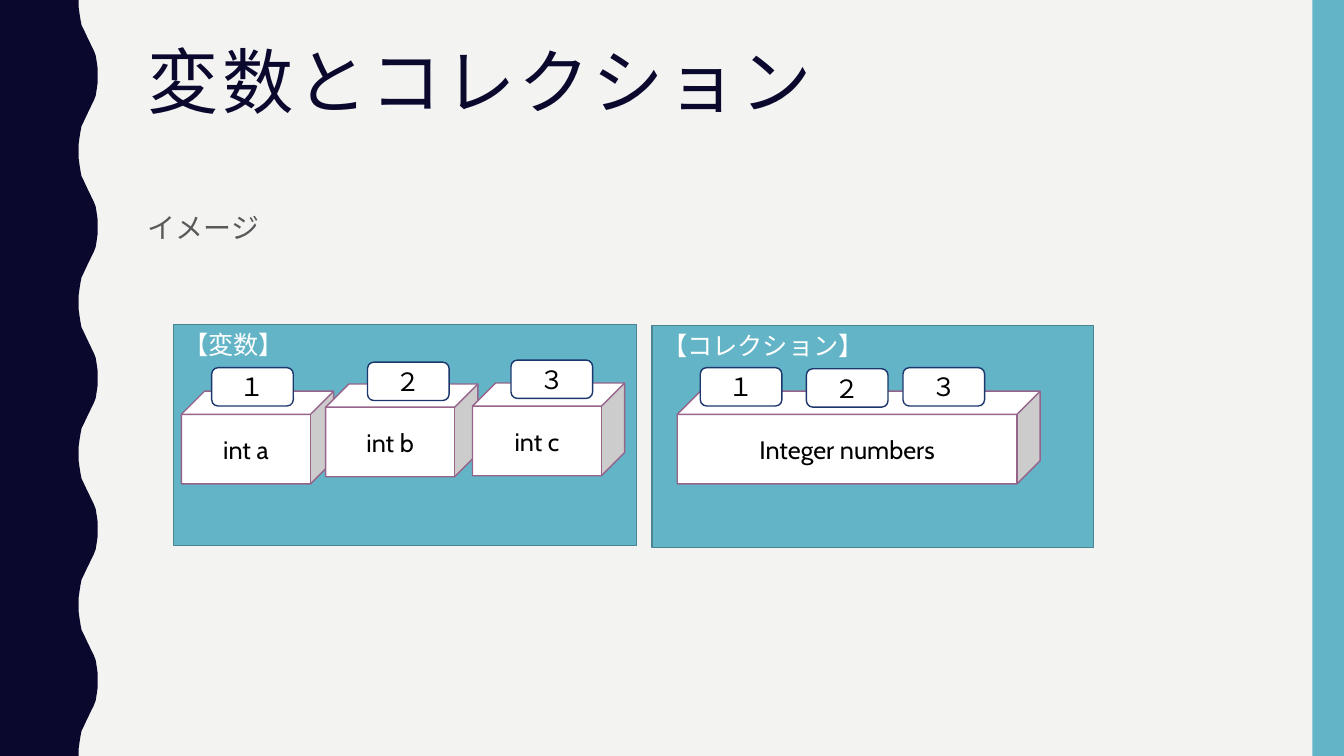
from dataclasses import dataclass

from pptx import Presentation
from pptx.dml.color import RGBColor
from pptx.enum.shapes import MSO_SHAPE as Preset
from pptx.enum.text import MSO_ANCHOR as Anchor, PP_ALIGN as Align
from pptx.util import Pt


@dataclass(frozen=True)
class Theme:
    paper: str = "F3F3F2"
    navy: str = "0B082E"
    teal: str = "62B4C6"
    teal_edge: str = "498592"
    box_edge: str = "96648A"
    tag_edge: str = "1B376E"
    white: str = "FFFFFF"
    black: str = "000000"
    grey: str = "595959"
    title_font: str = "Roboto Condensed"
    body_font: str = "Cabin"
    title_size: float = 51
    body_size: float = 20
    label_size: float = 18


def apply_format(target, values):
    for name, value in values.items():
        setattr(target, name, value)


class SlideBuilder:
    def __init__(self, slide, theme):
        self.slide = slide
        self.theme = theme
        slide.background.fill.solid()
        slide.background.fill.fore_color.rgb = RGBColor.from_string(theme.paper)

    def paint(self, shape, fill, edge=None):
        shape.shadow.inherit = False
        shape.fill.solid()
        shape.fill.fore_color.rgb = RGBColor.from_string(fill)
        if edge:
            shape.line.color.rgb = RGBColor.from_string(edge)
            shape.line.width = Pt(1)
        else:
            shape.line.fill.background()

    def label(self, shape, words, size, color, font=None, anchor=Anchor.TOP,
              spacing=None, **paragraph_format):
        frame = shape.text_frame
        apply_format(frame, {"word_wrap": True, "vertical_anchor": anchor})
        paragraph = frame.paragraphs[0]
        apply_format(paragraph, {"alignment": Align.LEFT, **paragraph_format})
        run = paragraph.add_run()
        run.text = words
        apply_format(run.font, {"name": font or self.theme.body_font, "size": Pt(size)})
        run.font.color.rgb = RGBColor.from_string(color)
        if spacing:
            run._r.get_or_add_rPr().set("spc", str(spacing * 100))

    def text(self, bounds, words, size, color, **text_format):
        box = self.slide.shapes.add_textbox(*map(Pt, bounds))
        self.label(box, words, size, color, **text_format)

    def shape(self, preset, bounds, fill, edge=None):
        shape = self.slide.shapes.add_shape(preset, *map(Pt, bounds))
        self.paint(shape, fill, edge)
        return shape

    def outline(self, points, fill):
        start, *rest = [(Pt(x), Pt(y)) for x, y in points]
        pen = self.slide.shapes.build_freeform(*start)
        pen.add_line_segments(rest, close=True)
        self.paint(pen.convert_to_shape(), fill)

    def panel(self, bounds, heading):
        panel = self.shape(Preset.RECTANGLE, bounds, self.theme.teal, self.theme.teal_edge)
        self.label(panel, heading, self.theme.label_size, self.theme.white)

    def block(self, preset, bounds, words, edge):
        block = self.shape(preset, bounds, self.theme.white, edge)
        self.label(block, words, self.theme.label_size, self.theme.black,
                   anchor=Anchor.MIDDLE, alignment=Align.CENTER)

    def box(self, left, top, width, words):
        self.block(Preset.CUBE, (left, top, width, 66.2), words, self.theme.box_edge)

    def tag(self, left, top, words):
        self.block(Preset.ROUNDED_RECTANGLE, (left, top, 58.3, 27.4), words,
                   self.theme.tag_edge)


def wave_points(height, period=108):
    """Left band whose right edge repeats one mirrored half wave."""
    half = [(56.2, 0), (56.2, 5), (56.9, 10), (57.6, 14.4), (58.3, 18),
            (59.8, 21), (61.2, 24), (62.6, 27), (64.1, 30), (65.5, 33),
            (67, 36), (68.4, 39.6), (69.1, 44), (69.8, 49), (69.8, 54)]
    wave = half + [(x, period - y) for x, y in half[-2:0:-1]]
    edge = [(x, y + period * turn) for turn in range(height // period) for x, y in wave]
    return [(0, 0), *edge, (half[0][0], height), (0, height)]


def main():
    deck = Presentation()
    apply_format(deck, {"slide_width": Pt(960), "slide_height": Pt(540)})
    theme = Theme()
    page = SlideBuilder(deck.slides.add_slide(deck.slide_layouts[6]), theme)

    # Side bands
    page.outline(wave_points(540), theme.navy)
    page.shape(Preset.RECTANGLE, (937.5, 0, 22.5, 540), theme.teal)

    # Title and lead
    page.text((98.6, 30.2, 801.4, 117.4), "変数とコレクション", theme.title_size,
              theme.navy, font=theme.title_font, spacing=2, line_spacing=0.9)
    page.text((98.6, 144.7, 801.4, 318.2), "イメージ", theme.body_size,
              theme.grey, line_spacing=1.1, space_before=Pt(7))

    # Panels
    page.panel((123.8, 231.8, 330.9, 157.7), "【変数】")
    page.panel((465.8, 232.6, 315.4, 158.4), "【コレクション】")

    # Three variables and one collection
    for left, top, width, words in [(129.6, 279.4, 108.7, "int a"),
                                    (232.6, 274.3, 108.7, "int b"),
                                    (337.5, 273.6, 108.7, "int c"),
                                    (483.8, 279.4, 259.2, "Integer numbers")]:
        page.box(left, top, width, words)

    # Values held by the boxes
    for left, top, value in [(151.2, 262.6, "１"), (262.5, 258.7, "２"),
                             (365, 257.2, "３"), (500.2, 262.6, "１"),
                             (576, 263.4, "２"), (645, 262.6, "３")]:
        page.tag(left, top, value)

    deck.save("out.pptx")


if __name__ == "__main__":
    main()
